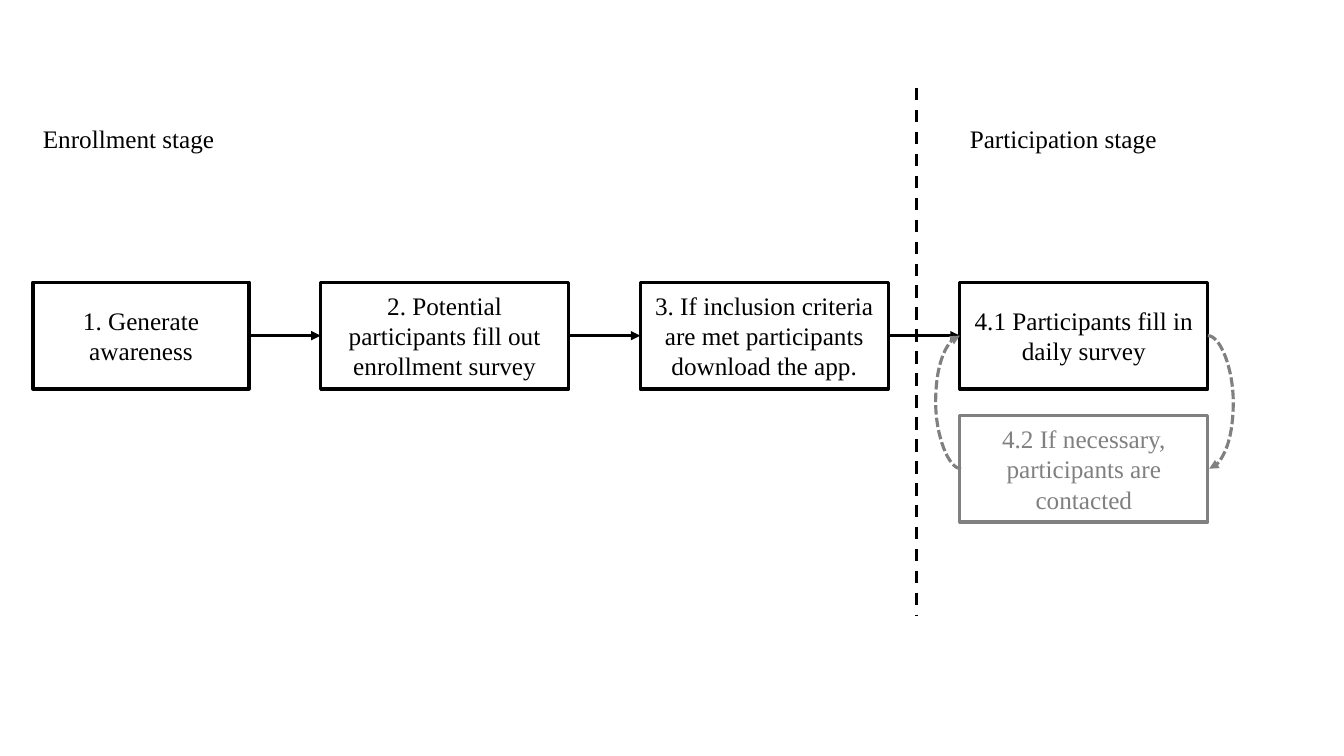
from lxml.etree import SubElement
from pptx import Presentation
from pptx.dml.color import RGBColor
from pptx.enum.dml import MSO_LINE
from pptx.enum.shapes import MSO_CONNECTOR, MSO_SHAPE
from pptx.enum.text import MSO_ANCHOR, PP_ALIGN
from pptx.oxml.ns import qn
from pptx.util import Inches, Pt

BLACK = RGBColor(0x00, 0x00, 0x00)
GRAY = RGBColor(0x80, 0x80, 0x80)

# Grid in inches; box sizes are shares of a column or row
LEFT, TOP = 0.01, 0.16
COL, ROW = 3.17, 1.32
BOX_W, BOX_H = 0.776, 0.803
STEP_ROW, CONTACT_ROW = 2, 3
INSET = 0.1


class FlowSlide:
    font, size, weight = "Times New Roman", Pt(18), Pt(2.25)

    def __init__(self, prs):
        self.s = prs.slides.add_slide(prs.slide_layouts[6])

    def at(self, col, row):
        return Inches(LEFT + COL * col), Inches(TOP + ROW * row)

    def span(self, cols, rows):
        return Inches(COL * cols), Inches(ROW * rows)

    def add_text(self, tf, text, color, align):
        tf.word_wrap = True
        p = tf.paragraphs[0]
        p.alignment = align
        r = p.add_run()
        r.text = text
        r.font.name, r.font.size = self.font, self.size
        r.font.color.rgb = color

    def box(self, text, col, row, width=BOX_W, color=BLACK):
        sp = self.s.shapes.add_shape(
            MSO_SHAPE.RECTANGLE, *self.at(col, row), *self.span(width, BOX_H))
        sp.shadow.inherit = False
        sp.fill.background()
        sp.line.color.rgb, sp.line.width = color, self.weight
        sp.text_frame.vertical_anchor = MSO_ANCHOR.MIDDLE
        self.add_text(sp.text_frame, text, color, PP_ALIGN.CENTER)

    def label(self, text, col, row):
        sp = self.s.shapes.add_textbox(*self.at(col, row), *self.span(1.04, 0.3))
        self.add_text(sp.text_frame, text, BLACK, PP_ALIGN.LEFT)

    def line(self, start, end, color=BLACK, dash=None, arrow=True,
             kind=MSO_CONNECTOR.STRAIGHT):
        c = self.s.shapes.add_connector(kind, *self.at(*start), *self.at(*end))
        c.line.color.rgb, c.line.width = color, self.weight
        if dash:
            c.line.dash_style = dash
        if arrow:
            outline = c._element.spPr.find(qn("a:ln"))
            SubElement(outline, qn("a:tailEnd"), type="triangle")
        SubElement(c._element.spPr, qn("a:effectLst"))
        return c

    def loop(self, start, end, bulge):
        """Curve that swings out past its ends by bulge, in columns."""
        c = self.line(start, end, GRAY, MSO_LINE.SQUARE_DOT,
                      kind=MSO_CONNECTOR.CURVE)
        adjust = round(bulge / abs(end[0] - start[0]) * 100000)
        guides = c._element.spPr.find(qn("a:prstGeom")).find(qn("a:avLst"))
        SubElement(guides, qn("a:gd"), name="adj1", fmla=f"val {adjust}")


def main():
    prs = Presentation()
    prs.slide_width, prs.slide_height = Inches(13.33), Inches(7.5)
    flow = FlowSlide(prs)

    steps = ["1. Generate awareness",
             "2. Potential participants fill out enrollment survey",
             "3. If inclusion criteria are met participants download the app.",
             "4.1 Participants fill in daily survey"]
    last = len(steps) - 1
    for col, text in enumerate(steps):
        inset = 0 if col else INSET
        flow.box(text, col + inset, STEP_ROW, BOX_W - inset)
    flow.box("4.2 If necessary, participants are contacted",
             last, CONTACT_ROW, color=GRAY)

    flow.line((2.864, 0.54), (2.864, 4.51), dash=MSO_LINE.DASH, arrow=False)
    step_mid, contact_mid = STEP_ROW + BOX_H / 2, CONTACT_ROW + BOX_H / 2
    for col in range(last):
        flow.line((col + BOX_W, step_mid), (col + 1, step_mid))

    flow.label("Enrollment stage", INSET, 0.77)
    flow.label("Participation stage", last, 0.77)

    right, nudge, bulge = last + BOX_W, 0.004, 0.08
    flow.loop((right, step_mid), (right + nudge, contact_mid), bulge)
    flow.loop((last + nudge, contact_mid), (last, step_mid), bulge)

    prs.save("out.pptx")


if __name__ == "__main__":
    main()
